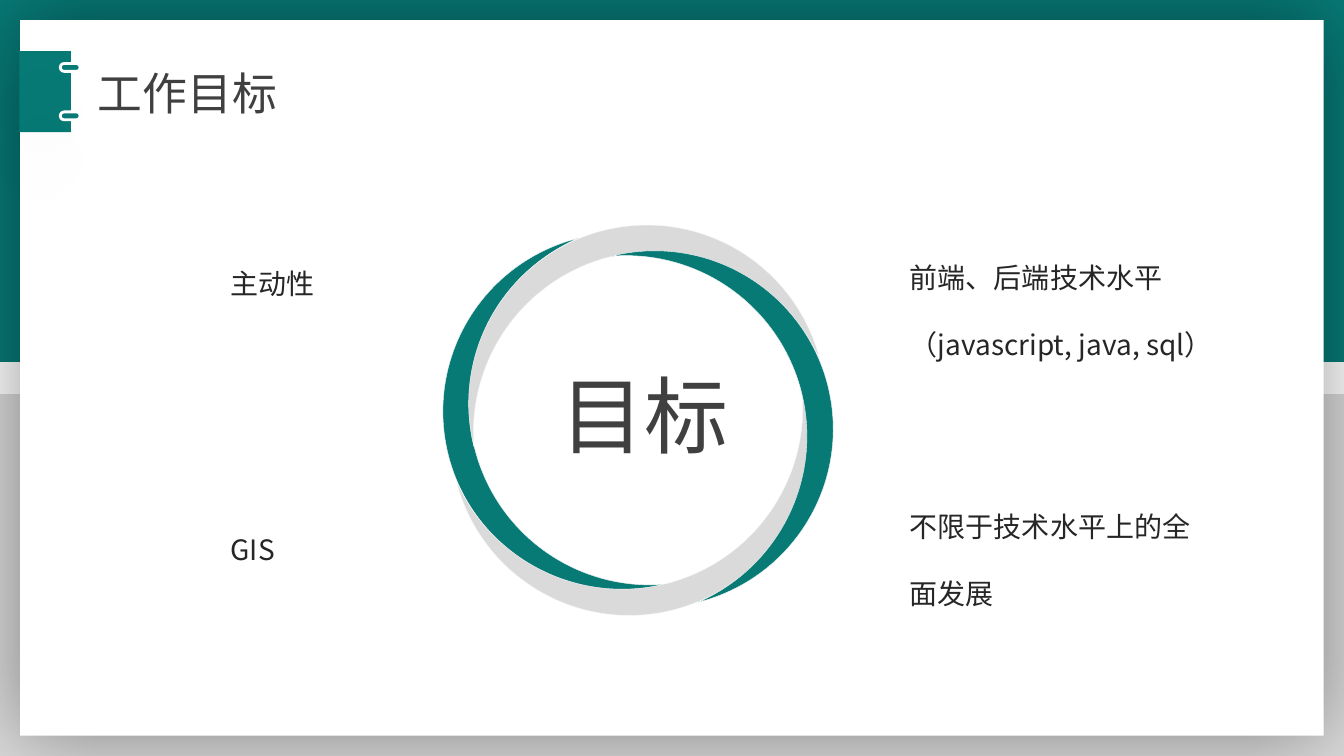
import math

import pptx
import pptx.dml.color
import pptx.enum.shapes
import pptx.enum.text
import pptx.oxml
import pptx.oxml.ns
import pptx.util

Cm = pptx.util.Cm
Pt = pptx.util.Pt
RGBColor = pptx.dml.color.RGBColor
Shape = pptx.enum.shapes.MSO_SHAPE

TEAL = RGBColor(0x07, 0x7A, 0x76)
GREY = RGBColor(0xDA, 0xDA, 0xDA)
WHITE = RGBColor(0xFF, 0xFF, 0xFF)
OFF_WHITE = RGBColor(0xF8, 0xF8, 0xF8)
HEADING = RGBColor(0x40, 0x40, 0x40)
BODY = RGBColor(0x26, 0x26, 0x26)

SLIDE_WIDTH, SLIDE_HEIGHT = 33.87, 19.05
BAND_HEIGHT = 9.12
MARGIN = 0.51
RING_X, RING_Y, RING_RADIUS = 16.08, 10.59, 2.62
MOON_WIDTH, MOON_HEIGHT = 4.5, 8.99


def add_filled(slide, kind, box, fill, line=None, line_width=0):
    shape = slide.shapes.add_shape(kind, *map(Cm, box))
    shape.shadow.inherit = False
    shape.fill.solid()
    shape.fill.fore_color.rgb = fill
    if line is None:
        shape.line.fill.background()
    else:
        shape.line.color.rgb = line
        shape.line.width = Pt(line_width)
    return shape


def add_shadow(shape, alpha, blur, distance, direction):
    effects = shape._element.spPr.find(pptx.oxml.ns.qn("a:effectLst"))
    effects.append(pptx.oxml.parse_xml(
        f'<a:outerShdw {pptx.oxml.ns.nsdecls("a")} blurRad="{Pt(blur)}" '
        f'dist="{Pt(distance)}" dir="{direction * 60000}" algn="ctr" '
        f'rotWithShape="0"><a:srgbClr val="000000">'
        f'<a:alpha val="{alpha * 1000}"/></a:srgbClr></a:outerShdw>'))


def add_moon(slide, rotation, fill):
    """Place one crescent around the ring, slightly ahead of its rotation."""
    angle = math.radians(rotation + 7)
    left = RING_X - RING_RADIUS * math.cos(angle) - MOON_WIDTH / 2
    top = RING_Y - RING_RADIUS * math.sin(angle) - MOON_HEIGHT / 2
    moon = add_filled(slide, Shape.MOON, (left, top, MOON_WIDTH, MOON_HEIGHT),
                      fill, OFF_WHITE, 0.25)
    moon.adjustments[0] = 0.152
    moon.rotation = rotation


def write_text(shape, text, size, color, font="Noto Sans CJK SC", spacing=1):
    frame = shape.text_frame
    frame.text = text
    frame.word_wrap = True
    frame.auto_size = pptx.enum.text.MSO_AUTO_SIZE.NONE
    frame.vertical_anchor = pptx.enum.text.MSO_ANCHOR.TOP
    paragraph = frame.paragraphs[0]
    paragraph.alignment = pptx.enum.text.PP_ALIGN.LEFT
    paragraph.line_spacing = spacing
    run = paragraph.runs[0]
    run.font.size = Pt(size)
    run.font.color.rgb = color
    run.font.name = font
    east_asian = pptx.oxml.parse_xml(
        f'<a:ea {pptx.oxml.ns.nsdecls("a")} typeface="{font}"/>')
    run.font._element.find(pptx.oxml.ns.qn("a:latin")).addnext(east_asian)


def add_text(slide, box, text, size, color, **style):
    write_text(slide.shapes.add_textbox(*map(Cm, box)), text, size, color, **style)


def set_title(slide, box, text):
    title = slide.shapes.title
    title.left, title.top, title.width, title.height = map(Cm, box)
    write_text(title, text, 32, HEADING)
    # Bring the title in front of the white panel
    slide.shapes._spTree.append(title._element)


def main():
    presentation = pptx.Presentation()
    presentation.slide_width = Cm(SLIDE_WIDTH)
    presentation.slide_height = Cm(SLIDE_HEIGHT)
    slide = presentation.slides.add_slide(presentation.slide_layouts[5])

    # Background bands and white panel
    for top, fill in ((0, TEAL), (SLIDE_HEIGHT - BAND_HEIGHT, GREY)):
        add_filled(slide, Shape.RECTANGLE, (0, top, SLIDE_WIDTH, BAND_HEIGHT), fill)
    panel = add_filled(slide, Shape.RECTANGLE,
                       (MARGIN, MARGIN, SLIDE_WIDTH - 2 * MARGIN,
                        SLIDE_HEIGHT - 2 * MARGIN), WHITE)
    add_shadow(panel, 40, 63, 0, 260)

    # Title tab with two binder rings
    add_filled(slide, Shape.RECTANGLE, (0.49, 1.29, 1.3, 2.04), TEAL)
    for top in (1.6, 2.82):
        binder = add_filled(slide, Shape.ROUNDED_RECTANGLE,
                            (1.52, top, 0.5, 0.2), TEAL, WHITE, 2)
        binder.adjustments[0] = 0.5
        add_shadow(binder, 13, 45, 38, 125)
    set_title(slide, (2.21, 1.52, 11.38, 1.63), "工作目标")

    # Ring of crescents with the central word
    for rotation, fill in ((345.9, TEAL), (75.9, GREY), (255.9, GREY), (165.9, TEAL)):
        add_moon(slide, rotation, fill)
    add_text(slide, (13.87, 9.04, 4.83, 2.82), "目标", 60, HEADING,
             font="Noto Sans CJK JP")

    # Goals on both sides of the ring
    goals = (
        ((5.56, 5.74, 7.67, 1.7), "主动性"),
        ((22.68, 5.59, 8.69, 3.68), "前端、后端技术水平（javascript, java, sql）"),
        ((5.56, 12.45, 7.67, 1.7), "GIS"),
        ((22.68, 11.86, 7.67, 3.68), "不限于技术水平上的全面发展"),
    )
    for box, text in goals:
        add_text(slide, box, text, 20, BODY, spacing=2)

    presentation.save("out.pptx")


main()
